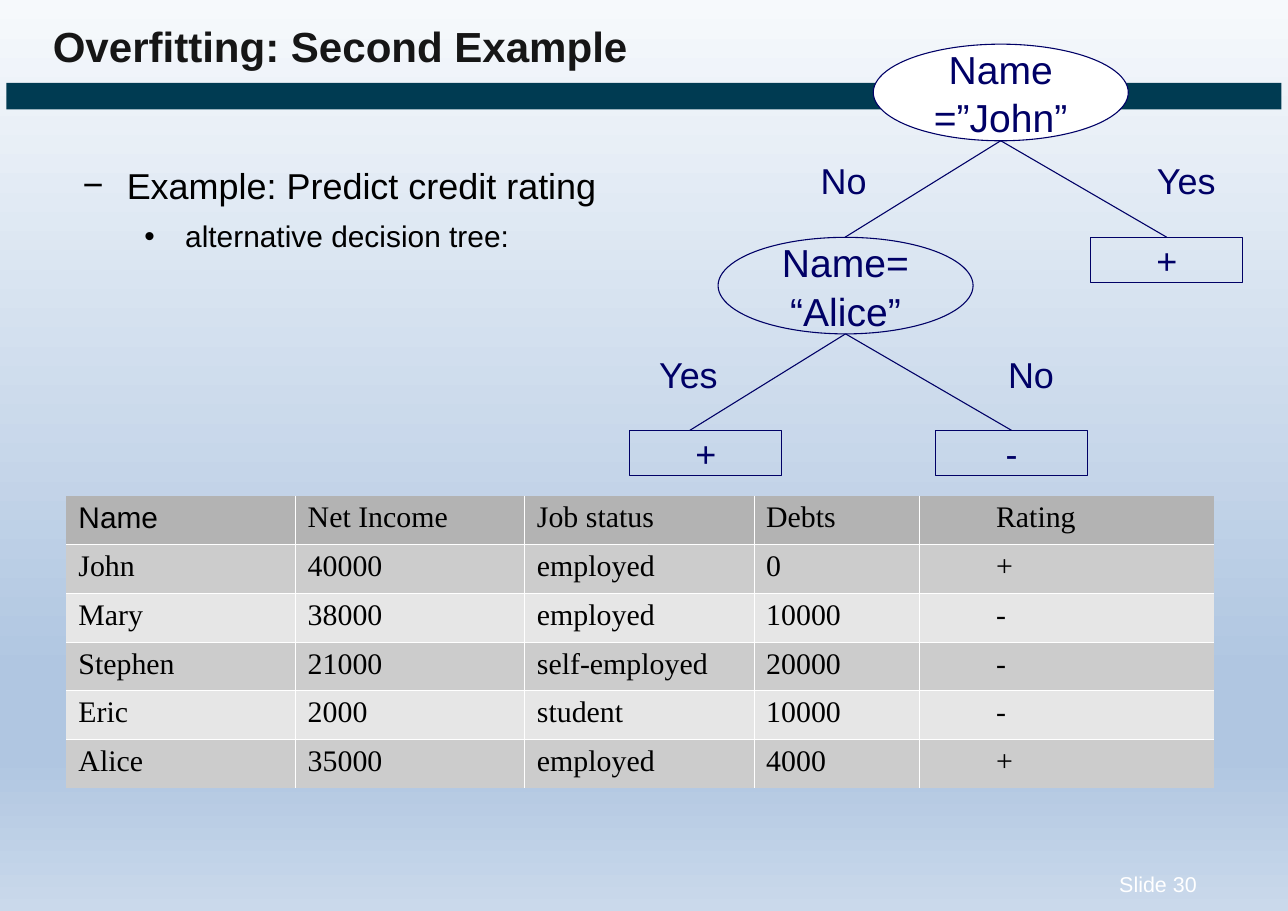
from lxml import etree
from pptx import Presentation
from pptx.dml.color import RGBColor
from pptx.enum.shapes import MSO_CONNECTOR, MSO_SHAPE
from pptx.enum.text import MSO_ANCHOR, MSO_AUTO_SIZE, PP_ALIGN
from pptx.oxml.ns import qn
from pptx.util import Inches, Pt

LINE = MSO_CONNECTOR.STRAIGHT
OVAL, RECT = MSO_SHAPE.OVAL, MSO_SHAPE.RECTANGLE
TOP, MID = MSO_ANCHOR.TOP, MSO_ANCHOR.MIDDLE
LEFT, MIDDLE = PP_ALIGN.LEFT, PP_ALIGN.CENTER
FIXED = MSO_AUTO_SIZE.NONE

WIDE, HIGH = Inches(11.69), Inches(8.27)
NAVY, BLACK, WHITE = "000066", "000000", "FFFFFF"
PLAIN = "{2D5ABB26-0587-4C30-8999-92F81FD0307C}"

# Tree measures, in percent of the slide
TIER, STEP = 4.85, 21.2
NODE, LEAF = (19.8, 10.6), (11.8, 5)

ROWS = [
    ["Name", "Net Income", "Job status", "Debts", "Rating"],
    ["John", "40000", "employed", "0", "+"],
    ["Mary", "38000", "employed", "10000", "-"],
    ["Stephen", "21000", "self-employed", "20000", "-"],
    ["Eric", "2000", "student", "10000", "-"],
    ["Alice", "35000", "employed", "4000", "+"],
]
COLS = [17.8, 17.8, 17.8, 12.8, 22.9]


def hue(code):
    return RGBColor.from_string(code)


def across(share):
    return int(WIDE * share / 100)


def down(share):
    return int(HIGH * share / 100)


def area(x, y, w, h):
    """Turn percent shares of the slide into lengths."""
    return across(x), down(y), across(w), down(h)


def apply(thing, **values):
    for name, value in values.items():
        setattr(thing, name, value)


def style(part, size, tint, face="Arial", bold=False):
    apply(part.font, size=Pt(size), name=face, bold=bold)
    part.font.color.rgb = hue(tint)


def write(shape, text, size, tint, align=LEFT, anchor=TOP, wrap=False, bold=False):
    """Fill a shape with evenly styled text and no insets."""
    frame = shape.text_frame
    frame.text = text
    apply(frame, margin_left=0, margin_right=0, margin_top=0, margin_bottom=0,
          word_wrap=wrap, auto_size=FIXED, vertical_anchor=anchor)
    for para in frame.paragraphs:
        apply(para, alignment=align, space_before=Pt(0))
        style(para, size, tint, bold=bold)


def label(slide, box, text, size, tint, align=LEFT):
    write(slide.shapes.add_textbox(*area(*box)), text, size, tint, align)


def block(slide, kind, box, fill=None, line=None):
    shape = slide.shapes.add_shape(kind, *area(*box))
    shape.shadow.inherit = False
    if fill:
        shape.fill.solid()
        shape.fill.fore_color.rgb = hue(fill)
    else:
        shape.fill.background()
    if line:
        shape.line.color.rgb = hue(line)
        shape.line.width = Pt(0.72)
    else:
        shape.line.fill.background()
    return shape


def node(slide, mid, tier, text, fill=None):
    """Draw a test oval centred on mid at a tree tier."""
    w, h = NODE
    oval = block(slide, OVAL, (mid - w / 2, TIER + tier * STEP, w, h), fill, NAVY)
    write(oval, text, 25.5, NAVY, MIDDLE, MID)
    for para in oval.text_frame.paragraphs:
        para.line_spacing = 1.03


def leaf(slide, mid, tier, text):
    w, h = LEAF
    rect = block(slide, RECT, (mid - w / 2, TIER + tier * STEP, w, h), line=NAVY)
    write(rect, text, 23.5, NAVY, MIDDLE, MID)
    return rect


def branch(slide, mid, tier, end, text, shift, goal=None):
    """Join a node to the tier below and name the answer."""
    base = TIER + tier * STEP + NODE[1]
    link = slide.shapes.add_connector(
        LINE, across(mid), down(base), across(end), down(TIER + (tier + 1) * STEP))
    if goal:
        link.end_connect(goal, 0)
    link.line.color.rgb = hue(NAVY)
    link.line.width = Pt(0.72)
    etree.SubElement(link._element.spPr, qn("a:effectLst"))
    label(slide, (mid + shift - 4, base + 2, 8, 5), text, 23.5, NAVY, MIDDLE)


def tree(slide):
    tests = [(77.7, "Name\v=”John”", WHITE, "No", "Yes", "+"),
             (65.65, "Name=\v“Alice”", None, "Yes", "No", "-")]
    for tier, (mid, text, fill, near, far, mark) in enumerate(tests):
        node(slide, mid, tier, text, fill)
        goal = leaf(slide, mid + 12.9, tier + 1, mark)
        branch(slide, mid, tier, mid - 12.1, near, -12.2)
        branch(slide, mid, tier, mid + 12.9, far, 14.4, goal)
    leaf(slide, mid - 10.85, 2, "+")


def bullet(para, mark, left, hang):
    props = para._p.get_or_add_pPr()
    props.set("marL", str(Inches(left)))
    props.set("indent", str(-Inches(hang)))
    etree.SubElement(props, qn("a:buChar"), char=mark)


def points(slide):
    body = slide.placeholders[1]
    apply(body, **dict(zip(("left", "top", "width", "height"),
                           area(6.25, 17.9, 43, 10))))
    write(body, "Example: Predict credit rating\nalternative decision tree:",
          23.5, BLACK, wrap=True)
    first, second = body.text_frame.paragraphs
    bullet(first, "−", 0.42, 0.4)
    bullet(second, "•", 0.95, 0.37)
    apply(second, level=1, space_before=Pt(7.5))
    second.font.size = Pt(19.5)


def edge(cell, side):
    line = etree.SubElement(cell._tc.get_or_add_tcPr(), qn(side), w=str(Pt(0.5)))
    fill = etree.SubElement(line, qn("a:solidFill"))
    etree.SubElement(fill, qn("a:srgbClr"), val=WHITE)


def grid(slide):
    box = area(5.15, 54.4, sum(COLS), 32.15)
    table = slide.shapes.add_table(len(ROWS), len(COLS), *box).table
    table._tbl.tblPr.find(qn("a:tableStyleId")).text = PLAIN
    for col, share in zip(table.columns, COLS):
        col.width = across(share)
    for r, row in enumerate(ROWS):
        tint = "B3B3B3" if r == 0 else ("E6E6E6", "CCCCCC")[r % 2]
        for c, text in enumerate(row):
            cell = table.cell(r, c)
            cell.text = text
            apply(cell, margin_left=Inches(0.7 if c == 4 else 0.11), margin_right=0,
                  margin_top=Inches(0.05), margin_bottom=0)
            face = "Arial" if r == c == 0 else "Times New Roman"
            style(cell.text_frame.paragraphs[0], 19.5, BLACK, face)
            if c:
                edge(cell, "a:lnL")
            if c < len(COLS) - 1:
                edge(cell, "a:lnR")
            if r:
                edge(cell, "a:lnT")
            if r < len(ROWS) - 1:
                edge(cell, "a:lnB")
            cell.fill.solid()
            cell.fill.fore_color.rgb = hue(tint)


def backdrop(slide):
    fill = slide.background.fill
    fill.gradient()
    fill.gradient_angle = 270
    stops = slide.element.find(".//" + qn("a:gsLst"))
    for stop in list(stops):
        stops.remove(stop)
    for place, tint in ((0, "F6F9FC"), (74, "B0C6E1"), (83, "B0C6E1"), (100, "CAD9EB")):
        stop = etree.SubElement(stops, qn("a:gs"), pos=str(place * 1000))
        etree.SubElement(stop, qn("a:srgbClr"), val=tint)


def main():
    deck = Presentation()
    apply(deck, slide_width=WIDE, slide_height=HIGH)
    slide = deck.slides.add_slide(deck.slide_layouts[1])
    backdrop(slide)
    block(slide, RECT, (0.5, 9.1, 99, 2.9), "003B52")
    title = slide.shapes.title
    apply(title, **dict(zip(("left", "top", "width", "height"),
                            area(4.1, 2.2, 50, 6))))
    write(title, "Overfitting: Second Example", 27.5, "161616", bold=True)
    points(slide)
    tree(slide)
    grid(slide)
    label(slide, (86.9, 95.6, 7, 3), "Slide 30", 14, WHITE)
    deck.save("out.pptx")


if __name__ == "__main__":
    main()
